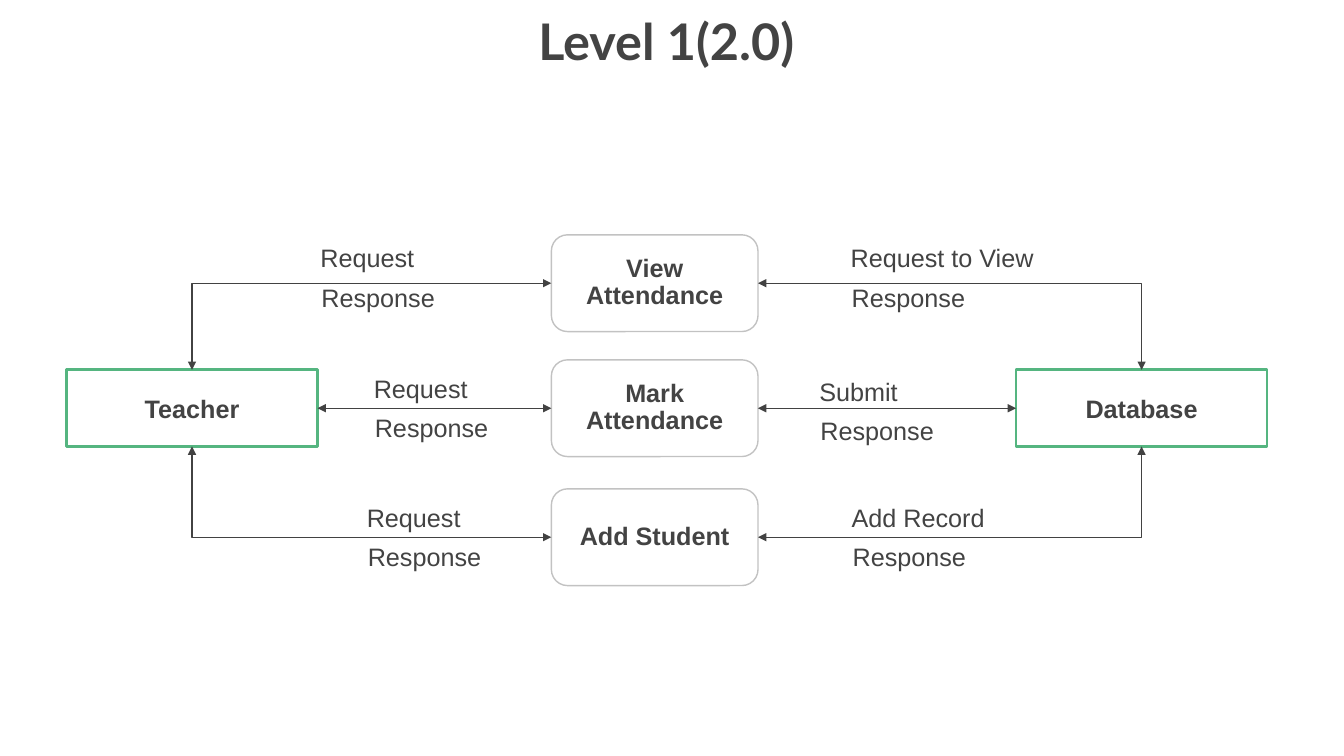
from lxml import etree
from pptx import Presentation
from pptx.dml.color import RGBColor
from pptx.enum.shapes import MSO_CONNECTOR, MSO_SHAPE
from pptx.enum.text import MSO_ANCHOR, PP_ALIGN
from pptx.oxml.ns import qn
from pptx.util import Pt

TEXT = RGBColor(0x43, 0x43, 0x43)
WIRE = RGBColor(0x42, 0x42, 0x42)
GREY = RGBColor(0xC2, 0xC2, 0xC2)
GREEN = RGBColor(0x55, 0xB5, 0x80)
RECT, ROUNDED = MSO_SHAPE.RECTANGLE, MSO_SHAPE.ROUNDED_RECTANGLE
ELBOW, STRAIGHT = MSO_CONNECTOR.ELBOW, MSO_CONNECTOR.STRAIGHT
CENTER, LEFT = PP_ALIGN.CENTER, PP_ALIGN.LEFT
MIDDLE = MSO_ANCHOR.MIDDLE
TOP_SITE, LEFT_SITE, BOTTOM_SITE, RIGHT_SITE = range(4)

prs = Presentation()
prs.slide_width, prs.slide_height = Pt(960), Pt(540)
s = prs.slides.add_slide(prs.slide_layouts[6])


def write(sp, text, align=LEFT, bold=False, size=18, font="Arial"):
    """Put one styled run in the shape and return its paragraph."""
    tf = sp.text_frame
    tf.word_wrap = True
    p = tf.paragraphs[0]
    p.alignment = align
    r = p.add_run()
    r.text = text
    r.font.name, r.font.size, r.font.bold = font, Pt(size), bold
    r.font.color.rgb = TEXT
    return p


def add_box(kind, text, x, y, w, h, color, weight):
    sp = s.shapes.add_shape(kind, Pt(x), Pt(y), Pt(w), Pt(h))
    sp.shadow.inherit = False
    sp.fill.background()
    sp.line.color.rgb = color
    sp.line.width = Pt(weight)
    sp.text_frame.vertical_anchor = MIDDLE
    return sp, write(sp, text, CENTER, True)


title = s.shapes.add_textbox(Pt(105.84), Pt(0), Pt(740.16), Pt(50.4))
title.text_frame.margin_top = title.text_frame.margin_bottom = Pt(7.2)
write(title, "Level 1(2.0)", CENTER, True, 36, "Lato")

processes = []
for text, y in [("View Attendance", 167.76), ("Mark Attendance", 257.04),
                ("Add Student", 349.2)]:
    sp, p = add_box(ROUNDED, text, 393.84, y, 147.6, 69.12, GREY, 1)
    p.line_spacing = 0.9
    p.space_before = Pt(10)
    processes.append(sp)

teacher, database = [
    add_box(RECT, text, x, 264.24, 179.28, 54.72, GREEN, 2)[0]
    for text, x in [("Teacher", 47.52), ("Database", 725.76)]]

# Each process links to the top, facing side or bottom of both entities
for entity, process_side, entity_side in [(teacher, LEFT_SITE, RIGHT_SITE),
                                          (database, RIGHT_SITE, LEFT_SITE)]:
    for process, site in zip(processes, [TOP_SITE, entity_side, BOTTOM_SITE]):
        kind = STRAIGHT if site == entity_side else ELBOW
        link = s.shapes.add_connector(kind, Pt(0), Pt(0), Pt(0), Pt(0))
        link.begin_connect(process, process_side)
        link.end_connect(entity, site)
        link.line.color.rgb = WIRE
        link.line.width = Pt(0.75)
        spPr = link._element.spPr
        if kind == ELBOW:
            spPr.find(qn("a:prstGeom")).set("prst", "bentConnector2")
        ln = spPr.find(qn("a:ln"))
        for end in ("a:headEnd", "a:tailEnd"):
            etree.SubElement(ln, qn(end), type="triangle")
        etree.SubElement(spPr, qn("a:effectLst"))

# Request above each link, response just below it
for request, x, y, w in [
        ("Request", 221.76, 169.92, 87.84),
        ("Request", 259.92, 262.8, 87.84),
        ("Request", 254.88, 354.96, 87.84),
        ("Request to View", 600.48, 169.92, 214.56),
        ("Submit", 578.16, 264.96, 134.64),
        ("Add Record", 601.2, 354.96, 151.2)]:
    for text, left, top, width in [(request, x, y, w),
                                   ("Response", x + 0.72, y + 28.4, 99.36)]:
        label = s.shapes.add_textbox(Pt(left), Pt(top), Pt(width), Pt(28.8))
        write(label, text)

prs.save("out.pptx")
